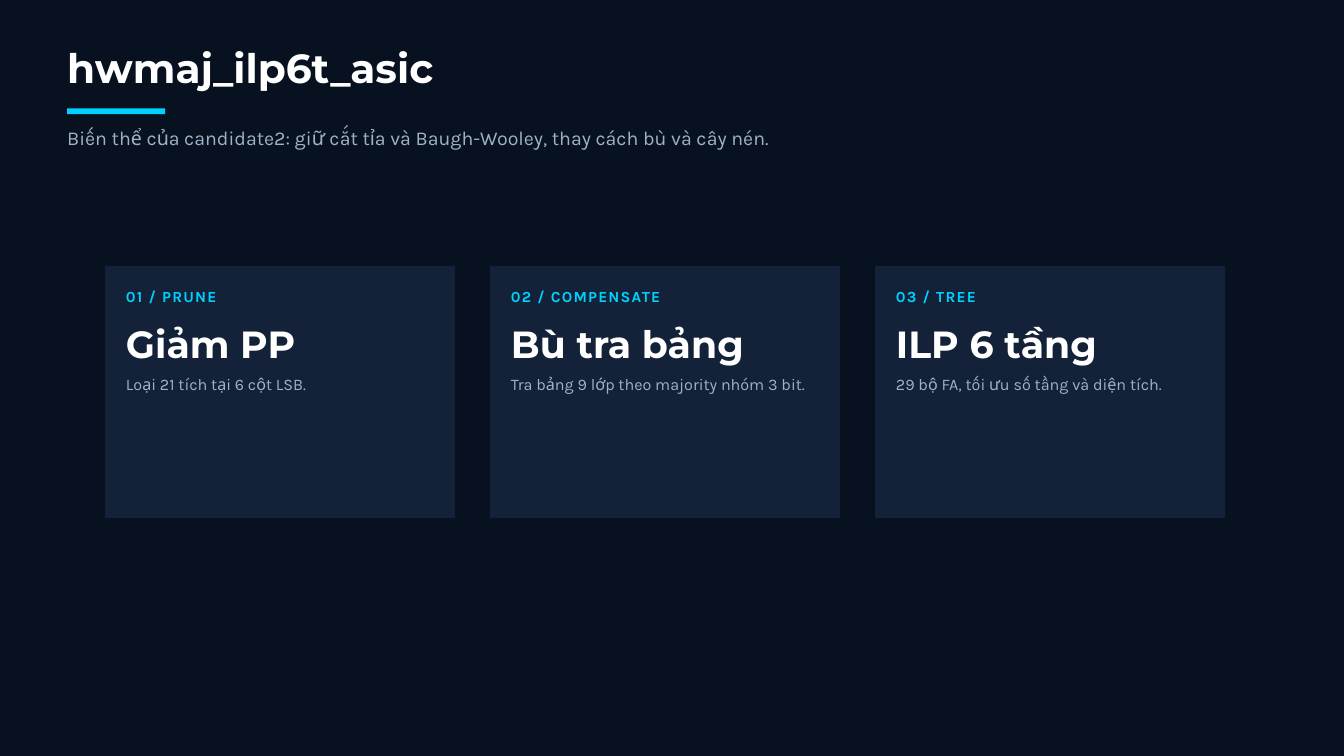
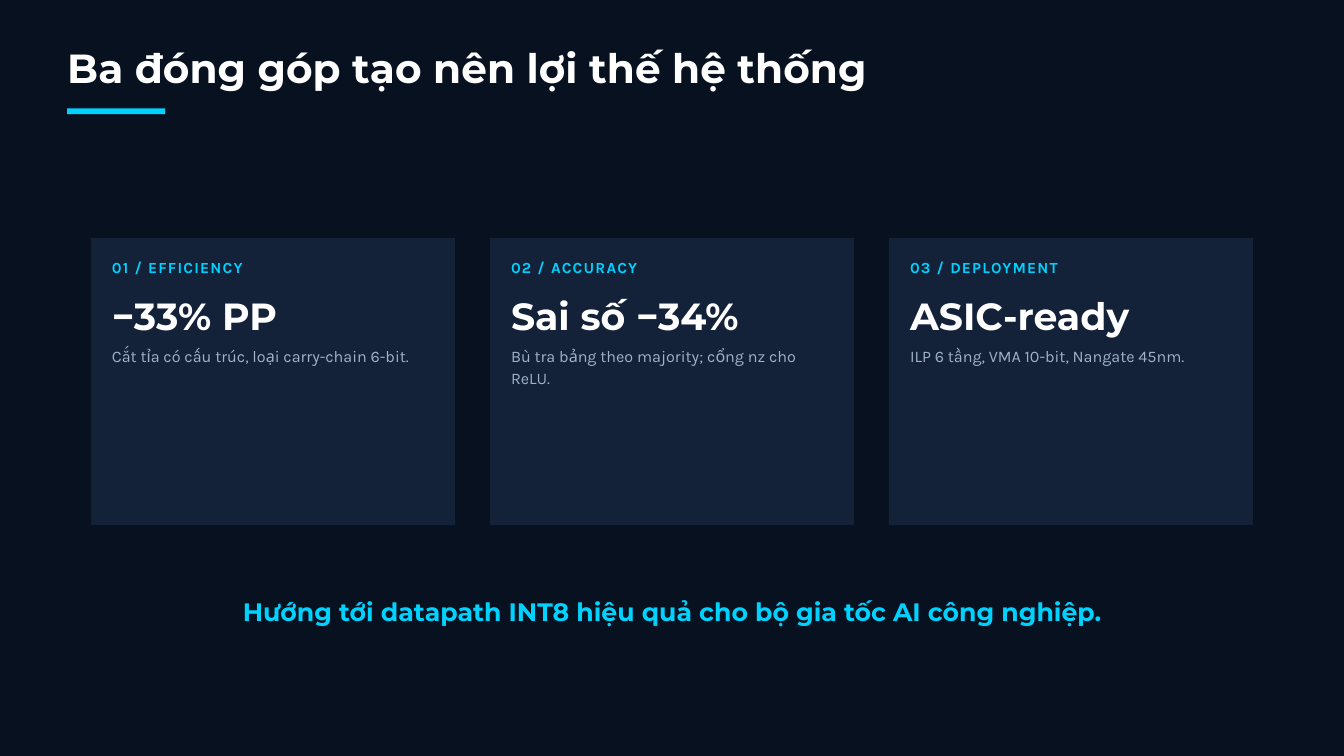
"""Build two dark slides, each with a title and three numbered cards."""
from pptx import Presentation
from pptx.dml.color import RGBColor
from pptx.enum.shapes import MSO_SHAPE
from pptx.enum.text import MSO_ANCHOR, MSO_AUTO_SIZE, PP_ALIGN
from pptx.util import Inches, Pt

NAVY, CARD, CYAN, WHITE, GREY = "07111F", "132238", "00D2FF", "FFFFFF", "9FB3C8"
HEAD, BODY = "Montserrat", "Karla"
COLS, MARGIN, GAP, PAD = 192, 9.6, 5, 3

prs = Presentation()
prs.slide_width, prs.slide_height = Inches(20), Inches(11.25)
unit = prs.slide_width / COLS


def paint(fill, color):
    fill.solid()
    fill.fore_color.rgb = RGBColor.from_string(color)


def write(sp, text, box, size, leading, font=BODY, color=GREY, bold=False,
          align=PP_ALIGN.LEFT, spacing=None):
    sp.left, sp.top, sp.width, sp.height = [round(v * unit) for v in box]
    tf = sp.text_frame
    tf.margin_left = tf.margin_top = tf.margin_right = tf.margin_bottom = 0
    tf.word_wrap, tf.auto_size = True, MSO_AUTO_SIZE.SHAPE_TO_FIT_TEXT
    tf.vertical_anchor = MSO_ANCHOR.TOP
    p = tf.paragraphs[0]
    p.alignment, p.line_spacing = align, Pt(leading)
    r = p.add_run()
    r.text = text
    r.font.name, r.font.size, r.font.bold = font, Pt(size), bold
    paint(r.font.fill, color)
    if spacing:
        r._r.get_or_add_rPr().set("spc", str(spacing))


paint(prs.slide_master.background.fill, NAVY)

slides = [
    dict(title="hwmaj_ilp6t_asic",
         subtitle="Biến thể của candidate2: giữ cắt tỉa và Baugh-Wooley, thay cách bù và cây nén.",
         grid=(15, 38, 50, 36),
         cards=[("01 / PRUNE", "Giảm PP", "Loại 21 tích tại 6 cột LSB."),
                ("02 / COMPENSATE", "Bù tra bảng", "Tra bảng 9 lớp theo majority nhóm 3 bit."),
                ("03 / TREE", "ILP 6 tầng", "29 bộ FA, tối ưu số tầng và diện tích.")]),
    dict(title="Ba đóng góp tạo nên lợi thế hệ thống",
         grid=(13, 34, 52, 41),
         cards=[("01 / EFFICIENCY", "−33% PP", "Cắt tỉa có cấu trúc, loại carry-chain 6-bit."),
                ("02 / ACCURACY", "Sai số −34%", "Bù tra bảng theo majority; cổng nz cho ReLU."),
                ("03 / DEPLOYMENT", "ASIC-ready", "ILP 6 tầng, VMA 10-bit, Nangate 45nm.")],
         closing="Hướng tới datapath INT8 hiệu quả cho bộ gia tốc AI công nghiệp."),
]

card_rows = [
    (2.5, 2.9, dict(size=16.5, leading=23.1, color=CYAN, bold=True, spacing=130)),
    (6.8, 6.9, dict(size=40.5, leading=56.7, font=HEAD, color=WHITE, bold=True)),
    (15.2, 3, dict(size=17.25, leading=23.3)),
]

for content in slides:
    s = prs.slides.add_slide(prs.slide_layouts[5])
    write(s.shapes.title, content["title"], (MARGIN, 6.8, COLS - 2 * MARGIN, 6.3),
          43.5, 47, font=HEAD, color=WHITE, bold=True)

    left, top, width, height = content["grid"]
    lefts = [left + i * (width + GAP) for i in range(len(content["cards"]))]
    panels = [(MARGIN, 15.5, 14, 0.8, CYAN)]
    panels += [(x, top, width, height, CARD) for x in lefts]
    for *box, color in panels:
        sp = s.shapes.add_shape(MSO_SHAPE.RECTANGLE, *[round(v * unit) for v in box])
        sp.shadow.inherit = False
        sp.line.fill.background()
        paint(sp.fill, color)

    for x, card in zip(lefts, content["cards"]):
        for text, (row, rows, style) in zip(card, card_rows):
            write(s.shapes.add_textbox(0, 0, 0, 0), text,
                  (x + PAD, top + row, width - 2 * PAD, rows), **style)

    if "subtitle" in content:
        write(s.shapes.add_textbox(0, 0, 0, 0), content["subtitle"],
              (MARGIN, 17.5, 150, 3.6), 21, 28.4)
    if "closing" in content:
        write(s.shapes.add_textbox(0, 0, 0, 0), content["closing"], (25, 84.5, 142, 4.8),
              27, 37.8, font=HEAD, color=CYAN, bold=True, align=PP_ALIGN.CENTER)

prs.save("out.pptx")
